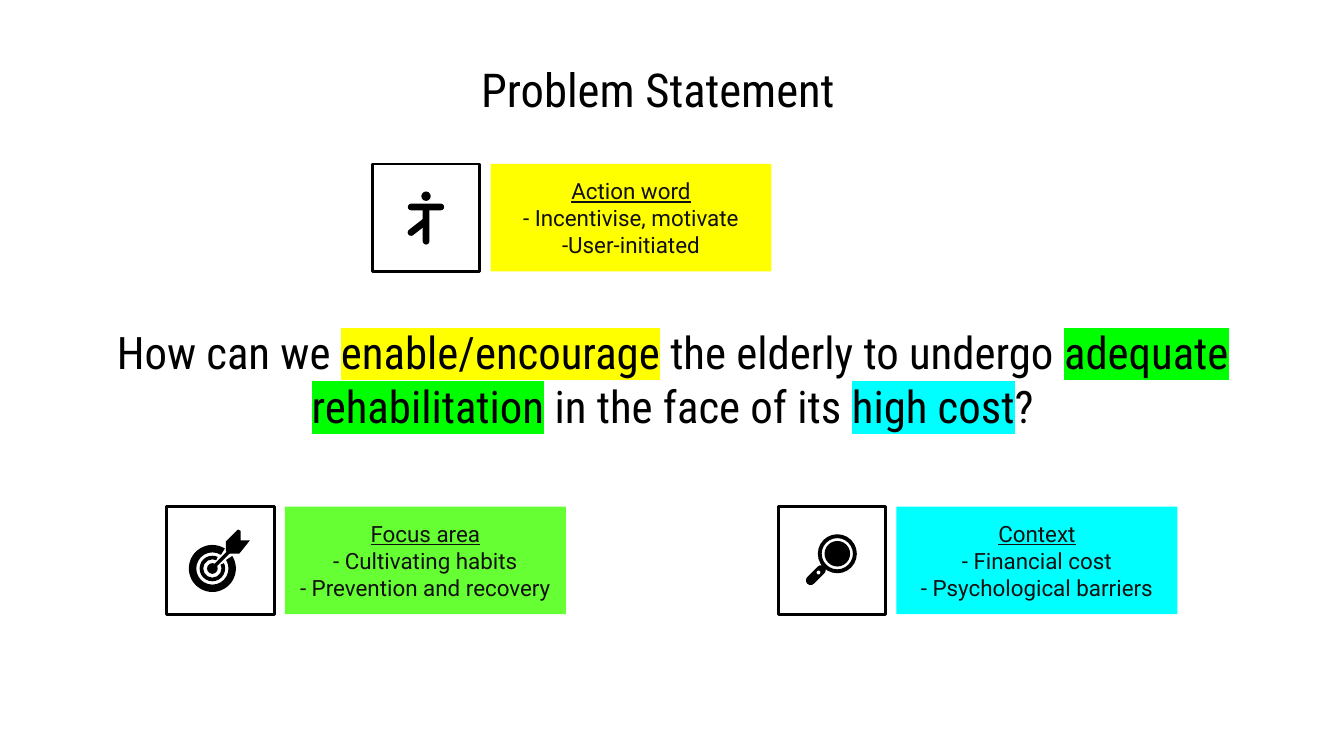
from lxml import etree
from pptx import Presentation
from pptx.dml.color import RGBColor
from pptx.enum.shapes import MSO_SHAPE as Shape
from pptx.enum.text import MSO_ANCHOR as Anchor, MSO_AUTO_SIZE as AutoSize, PP_ALIGN as Align
from pptx.oxml.ns import qn
from pptx.util import Inches, Pt

BLACK, WHITE, INK = "000000", "FFFFFF", "111111"
YELLOW, GREEN, LIME, CYAN = "FFFF00", "00FF00", "66FF33", "00FFFF"
CARD_SIZE = 0.8
LABEL_LEFT, LABEL_WIDTH = 0.88, 2.09


def color(value):
    return RGBColor.from_string(value)


def add_span(para, text, size=12, font="Roboto", ink=INK, underline=False, highlight=None):
    span = para.add_run()
    span.text = text
    span.font.size = Pt(size)
    span.font.color.rgb = color(ink)
    span.font.underline = underline
    span.font.name = font
    if highlight:
        mark = etree.Element(qn("a:highlight"))
        etree.SubElement(mark, qn("a:srgbClr"), val=highlight)
        span.font._element.find(qn("a:latin")).addprevious(mark)


def set_frame(frame, margin, anchor):
    frame.word_wrap = True
    frame.auto_size = AutoSize.NONE
    frame.vertical_anchor = anchor
    frame.margin_left = frame.margin_right = Inches(margin)
    frame.margin_top = frame.margin_bottom = Inches(margin)


def paint(shape, fill=BLACK, line=None):
    shape.shadow.inherit = False
    if fill:
        shape.fill.solid()
        shape.fill.fore_color.rgb = color(fill)
    else:
        shape.fill.background()
    if line:
        shape.line.color.rgb = color(line)
        shape.line.width = Pt(1.5)
    else:
        shape.line.fill.background()


def add_part(group, kind, left, top, width, height, adjust=(), fill=BLACK, line=None):
    part = group.shapes.add_shape(kind, Inches(left), Inches(top), Inches(width), Inches(height))
    for index, value in enumerate(adjust):
        part.adjustments[index] = value
    paint(part, fill, line)
    return part


def add_round(group, x, y, radius, kind=Shape.OVAL, **style):
    return add_part(group, kind, x - radius, y - radius, 2 * radius, 2 * radius, **style)


def add_bar(group, x, y, length, thickness, angle=0):
    bar = add_part(group, Shape.ROUNDED_RECTANGLE, x - length / 2, y - thickness / 2,
                   length, thickness, adjust=(0.5,))
    bar.rotation = angle


def draw_person(group, left, top):
    add_round(group, left + 0.4, top + 0.24, 0.035)
    add_bar(group, left + 0.4, top + 0.32, 0.27, 0.05)
    add_bar(group, left + 0.4, top + 0.45, 0.3, 0.05, 90)
    add_bar(group, left + 0.34, top + 0.47, 0.18, 0.05, -38)


def draw_target(group, left, top):
    x, y = left + 0.34, top + 0.46
    for radius, thickness, start, end in ((0.175, 0.055, 328, 302), (0.095, 0.027, 335, 295)):
        add_round(group, x, y, radius, Shape.BLOCK_ARC,
                  adjust=(start * 0.6, end * 0.6, thickness / (2 * radius)))
    add_round(group, x, y, 0.04)
    add_bar(group, x + 0.06, y - 0.06, 0.2, 0.025, -45)
    tail = [(0.53, 0.17), (0.44, 0.26), (0.44, 0.33), (0.46, 0.35),
            (0.54, 0.35), (0.62, 0.25), (0.55, 0.25), (0.55, 0.18)]
    points = [(Inches(left + dx), Inches(top + dy)) for dx, dy in tail]
    builder = group.shapes.build_freeform(*points[0])
    builder.add_line_segments(points[1:], close=True)
    paint(builder.convert_to_shape())


def draw_magnifier(group, left, top):
    x, y = left + 0.44, top + 0.35
    add_round(group, x, y, 0.145, Shape.DONUT, adjust=(0.1,))
    add_round(group, x, y, 0.095)
    add_bar(group, x - 0.11, y + 0.11, 0.08, 0.04, -45)
    add_bar(group, x - 0.16, y + 0.16, 0.18, 0.07, -45)
    add_round(group, x - 0.14, y + 0.14, 0.014, fill=WHITE)


def add_card(page, left, top, heading, points, fill, draw_icon):
    group = page.shapes.add_group_shape()
    add_part(group, Shape.ROUNDED_RECTANGLE, left, top, CARD_SIZE, CARD_SIZE,
             adjust=(0,), fill=None, line=BLACK)
    draw_icon(group, left, top)
    label = add_part(group, Shape.RECTANGLE, left + LABEL_LEFT, top,
                     LABEL_WIDTH, CARD_SIZE, fill=fill)
    frame = label.text_frame
    set_frame(frame, 0.1, Anchor.TOP)
    for index, text in enumerate([heading, *points]):
        para = frame.add_paragraph() if index else frame.paragraphs[0]
        para.alignment = Align.CENTER
        add_span(para, text, underline=index == 0)


def add_headline(box, left, top, spans, size):
    box.left, box.top = Inches(left), Inches(top)
    box.width, box.height = Inches(8.43), Inches(0.63)
    set_frame(box.text_frame, 0, Anchor.MIDDLE)
    para = box.text_frame.paragraphs[0]
    para.alignment = Align.CENTER
    for text, highlight in spans:
        add_span(para, text, size=size, font="Roboto Condensed", ink=BLACK, highlight=highlight)


def main():
    deck = Presentation()
    deck.slide_width = Inches(10)
    deck.slide_height = deck.slide_width * 9 // 16
    page = deck.slides.add_slide(deck.slide_layouts[5])
    question = [("How can we ", None), ("enable/encourage", YELLOW),
                (" the elderly to undergo ", None), ("adequate rehabilitation", GREEN),
                (" in the face of its ", None), ("high cost", CYAN), ("?", None)]
    add_headline(page.shapes.title, 0.79, 2.5, question, 24)
    add_card(page, 5.79, 3.77, "Context", ["- Financial cost", "- Psychological barriers"],
             CYAN, draw_magnifier)
    add_card(page, 1.24, 3.77, "Focus area", ["- Cultivating habits", "- Prevention and recovery"],
             LIME, draw_target)
    add_card(page, 2.77, 1.22, "Action word", ["- Incentivise, motivate", "-User-initiated"],
             YELLOW, draw_person)
    heading = page.shapes.add_textbox(0, 0, 0, 0)
    add_headline(heading, 0.68, 0.35, [("Problem Statement", None)], 25)
    deck.save("out.pptx")


if __name__ == "__main__":
    main()
